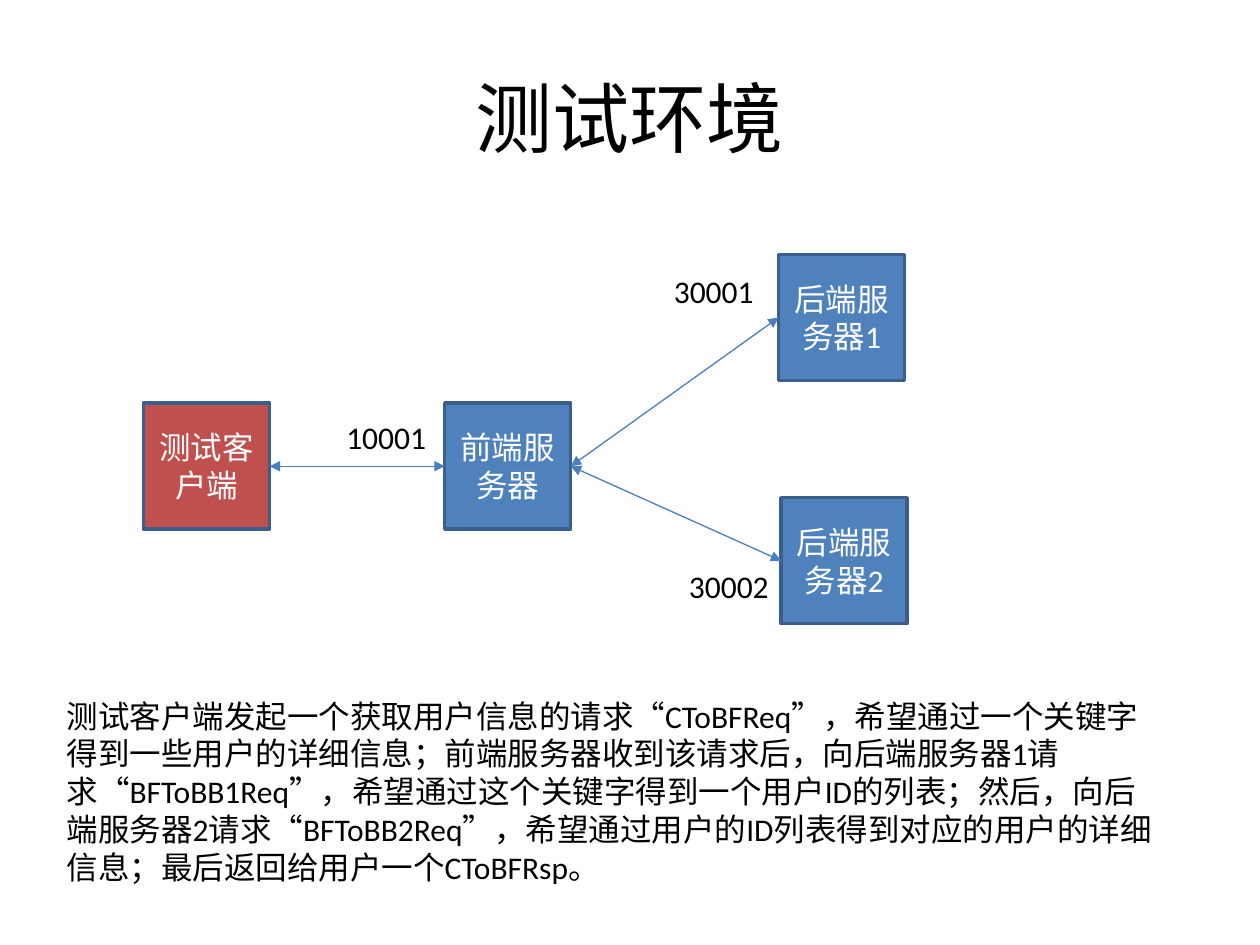
"""Build the test environment slide: a client, a front-end server and two back-end servers."""
from lxml import etree
from pptx import Presentation
from pptx.dml.color import RGBColor
from pptx.enum import shapes, text
from pptx.oxml import ns
from pptx.util import Inches, Pt

COLORS = {"client": "C0504D", "server": "4F81BD", "border": "3A5F8C",
          "link": "4B7EBC", "dark": "000000", "light": "FFFFFF"}
BOX = 1


def color(name):
    return RGBColor.from_string(COLORS[name])


def write(frame, wording, size, ink, align):
    frame.text = wording
    paragraph = frame.paragraphs[0]
    paragraph.alignment = align
    paragraph.font.size = Pt(size)
    paragraph.font.name = "Calibri"
    paragraph.font.color.rgb = color(ink)


prs = Presentation()
prs.slide_width, prs.slide_height = Inches(10), Inches(7.5)
slide = prs.slides.add_slide(prs.slide_layouts[5])

title = slide.shapes.title
title.left, title.top, title.width, title.height = map(Inches, (0.5, 0.3, 9, 1.25))
title.text_frame.vertical_anchor = text.MSO_ANCHOR.MIDDLE
write(title.text_frame, "测试环境", 44, "dark", text.PP_ALIGN.CENTER)

nodes = {}
for wording, left, top, fill in [
    ("测试客户端", 1.14, 3.2, "client"),
    ("前端服务器", 3.53, 3.2, "server"),
    ("后端服务器1", 6.18, 2.02, "server"),
    ("后端服务器2", 6.2, 3.95, "server"),
]:
    node = slide.shapes.add_shape(shapes.MSO_SHAPE.RECTANGLE, Inches(left), Inches(top),
                                  Inches(BOX), Inches(BOX))
    node.shadow.inherit = False
    node.fill.solid()
    node.fill.fore_color.rgb = color(fill)
    node.line.color.rgb = color("border")
    node.line.width = Pt(2)
    node.text_frame.word_wrap = True
    node.text_frame.vertical_anchor = text.MSO_ANCHOR.MIDDLE
    write(node.text_frame, wording, 18, "light", text.PP_ALIGN.CENTER)
    nodes[wording] = node

for source, target in [("测试客户端", "前端服务器"), ("前端服务器", "后端服务器1"),
                       ("前端服务器", "后端服务器2")]:
    link = slide.shapes.add_connector(shapes.MSO_CONNECTOR.STRAIGHT, 0, 0, 0, 0)
    link.begin_connect(nodes[source], 3)
    link.end_connect(nodes[target], 1)
    link.line.color.rgb = color("link")
    link.line.width = Pt(0.75)
    outline = link.line._get_or_add_ln()
    for end in ("a:headEnd", "a:tailEnd"):
        etree.SubElement(outline, ns.qn(end), type="triangle")
    etree.SubElement(link._element.spPr, ns.qn("a:effectLst"))

explanation = (
    "测试客户端发起一个获取用户信息的请求“CToBFReq”，希望通过一个关键字得到一些用户的详细信息；"
    "前端服务器收到该请求后，向后端服务器1请求“BFToBB1Req”，希望通过这个关键字得到一个用户ID的列表；"
    "然后，向后端服务器2请求“BFToBB2Req”，希望通过用户的ID列表得到对应的用户的详细信息；"
    "最后返回给用户一个CToBFRsp。"
)
for wording, left, top, width, height, wrap in [
    (explanation, 0.43, 5.48, 8.82, 1.62, True),
    ("10001", 2.65, 3.27, 0.84, 0.4, False),
    ("30001", 5.25, 2.11, 0.84, 0.4, False),
    ("30002", 5.37, 4.45, 0.84, 0.4, False),
]:
    label = slide.shapes.add_textbox(*map(Inches, (left, top, width, height)))
    label.text_frame.word_wrap = wrap
    label.text_frame.auto_size = text.MSO_AUTO_SIZE.SHAPE_TO_FIT_TEXT
    write(label.text_frame, wording, 18, "dark", text.PP_ALIGN.LEFT)

prs.save("out.pptx")
